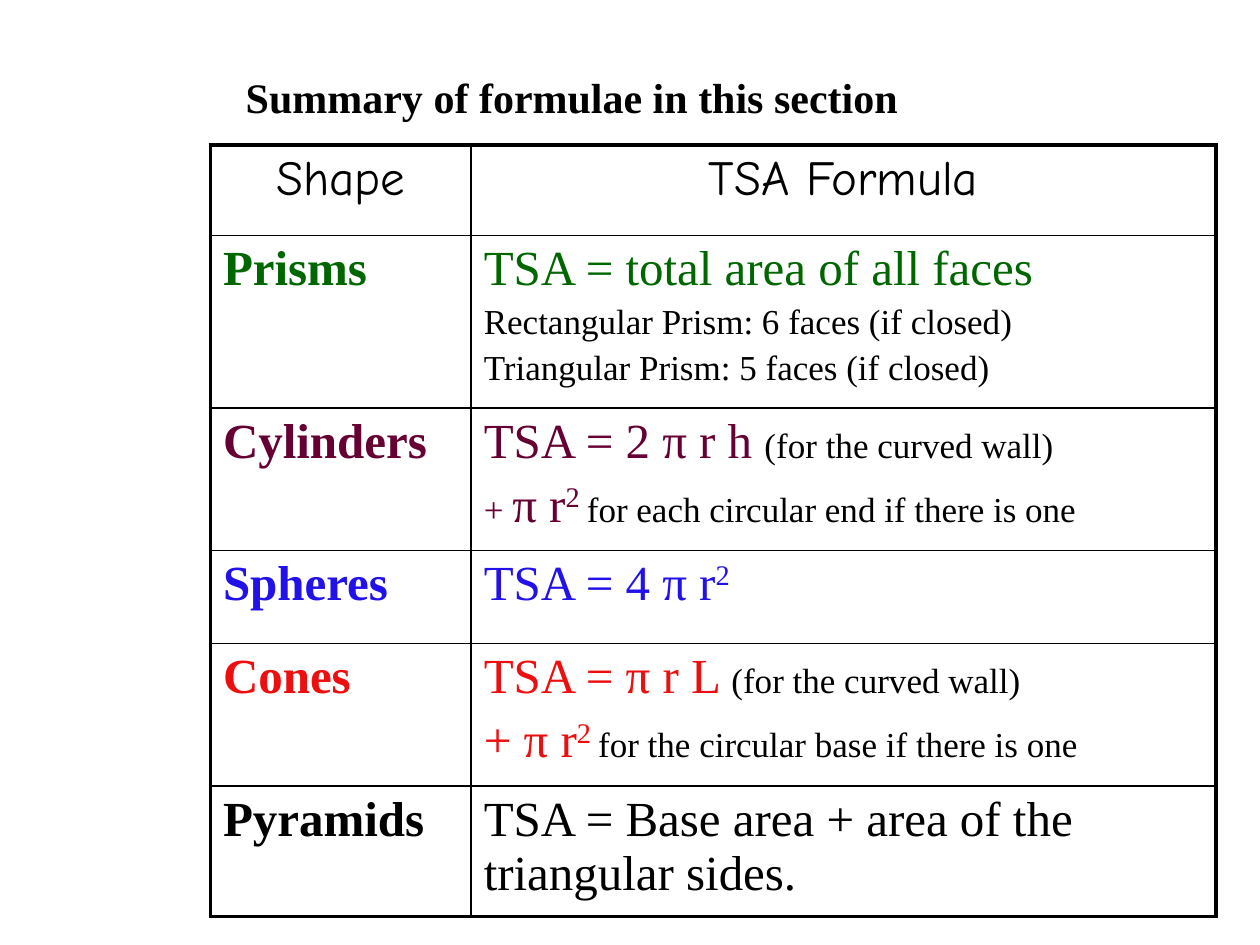
from lxml.etree import SubElement
from pptx import Presentation
from pptx.dml.color import RGBColor
from pptx.enum.text import MSO_ANCHOR, MSO_AUTO_SIZE, PP_ALIGN
from pptx.oxml.ns import qn
from pptx.util import Inches, Pt

SERIF, HEADER_FONT = "Times New Roman", "Comic Neue"
BLACK, GREEN, PLUM, BLUE, RED = "000000", "006600", "660033", "2112EA", "ED0F0F"
LARGE, SMALL = 28, 20
OUTER, INNER = 2.25, 1


def style(font, size, color, name=SERIF, bold=False):
    font.size, font.name, font.bold = Pt(size), name, bold
    font.color.rgb = RGBColor.from_string(color)


def add_borders(cell, widths):
    """Draw black cell borders; widths maps L, R, T and B to points."""
    properties = cell._tc.get_or_add_tcPr()
    for side, width in widths.items():
        line = SubElement(properties, qn(f"a:ln{side}"), w=str(Pt(width)))
        fill = SubElement(line, qn("a:solidFill"))
        SubElement(fill, qn("a:srgbClr"), val=BLACK)


presentation = Presentation()
presentation.slide_width, presentation.slide_height = Inches(10), Inches(7.5)
slide = presentation.slides.add_slide(presentation.slide_layouts[5])

title = slide.shapes.title
title.left, title.top = Inches(1.85), Inches(0.52)
title.width, title.height = Inches(6.69), Inches(0.5)
frame = title.text_frame
frame.text = "Summary of formulae in this section"
frame.vertical_anchor = MSO_ANCHOR.TOP
frame.auto_size = MSO_AUTO_SIZE.SHAPE_TO_FIT_TEXT
frame.paragraphs[0].alignment = PP_ALIGN.LEFT
style(frame.paragraphs[0].font, 24, BLACK, bold=True)

# Each formula is a list of paragraphs, each a list of (text, size, color);
# a text that starts with ^ is superscript.
rows = [
    ("Shape", BLACK, [[("TSA Formula", LARGE, BLACK)]]),
    ("Prisms", GREEN, [
        [("TSA = total area of all faces", LARGE, GREEN)],
        [("Rectangular Prism: 6 faces (if closed)", SMALL, BLACK)],
        [("Triangular Prism: 5 faces (if closed)", SMALL, BLACK)]]),
    ("Cylinders", PLUM, [
        [("TSA = 2 π r h ", LARGE, PLUM), ("(for the curved wall)", SMALL, BLACK)],
        [("+ ", SMALL, PLUM), ("π r", LARGE, PLUM), ("^2 ", LARGE, PLUM),
         ("for each circular end if there is one", SMALL, BLACK)]]),
    ("Spheres", BLUE, [[("TSA = 4 π r", LARGE, BLUE), ("^2", LARGE, BLUE)]]),
    ("Cones", RED, [
        [("TSA = π r L ", LARGE, RED), ("(for the curved wall)", SMALL, BLACK)],
        [("+ π r", LARGE, RED), ("^2 ", LARGE, RED),
         ("for the circular base if there is one", SMALL, BLACK)]]),
    ("Pyramids", BLACK, [
        [("TSA = Base area + area of the triangular sides.", LARGE, BLACK)]]),
]
row_heights = [0.72, 1.37, 1.13, 0.74, 1.13, 1.03]
column_widths = [2.07, 5.91]

table = slide.shapes.add_table(
    len(rows), 2, Inches(1.67), Inches(1.15),
    Inches(sum(column_widths)), Inches(sum(row_heights))).table
table.first_row = table.horz_banding = False
for column, width in zip(table.columns, column_widths):
    column.width = Inches(width)

for row_index, (name, color, formula) in enumerate(rows):
    table.rows[row_index].height = Inches(row_heights[row_index])
    is_header = row_index == 0
    for column_index, content in enumerate(([[(name, LARGE, color)]], formula)):
        cell = table.cell(row_index, column_index)
        add_borders(cell, {
            "L": OUTER if column_index == 0 else INNER,
            "R": OUTER if column_index == 1 else INNER,
            "T": OUTER if is_header else INNER,
            "B": OUTER if row_index == len(rows) - 1 else INNER})
        cell.fill.background()
        frame = cell.text_frame
        for index, pieces in enumerate(content):
            paragraph = frame.add_paragraph() if index else frame.paragraphs[0]
            if index:
                paragraph.space_before = Pt(0.2 * max(size for _, size, _ in pieces))
            if is_header:
                paragraph.alignment = PP_ALIGN.CENTER
            for text, size, piece_color in pieces:
                run = paragraph.add_run()
                run.text = text.removeprefix("^")
                style(run.font, size, piece_color,
                      HEADER_FONT if is_header else SERIF,
                      bold=column_index == 0 and not is_header)
                if text.startswith("^"):
                    run._r.get_or_add_rPr().set("baseline", "30000")

presentation.save("out.pptx")
